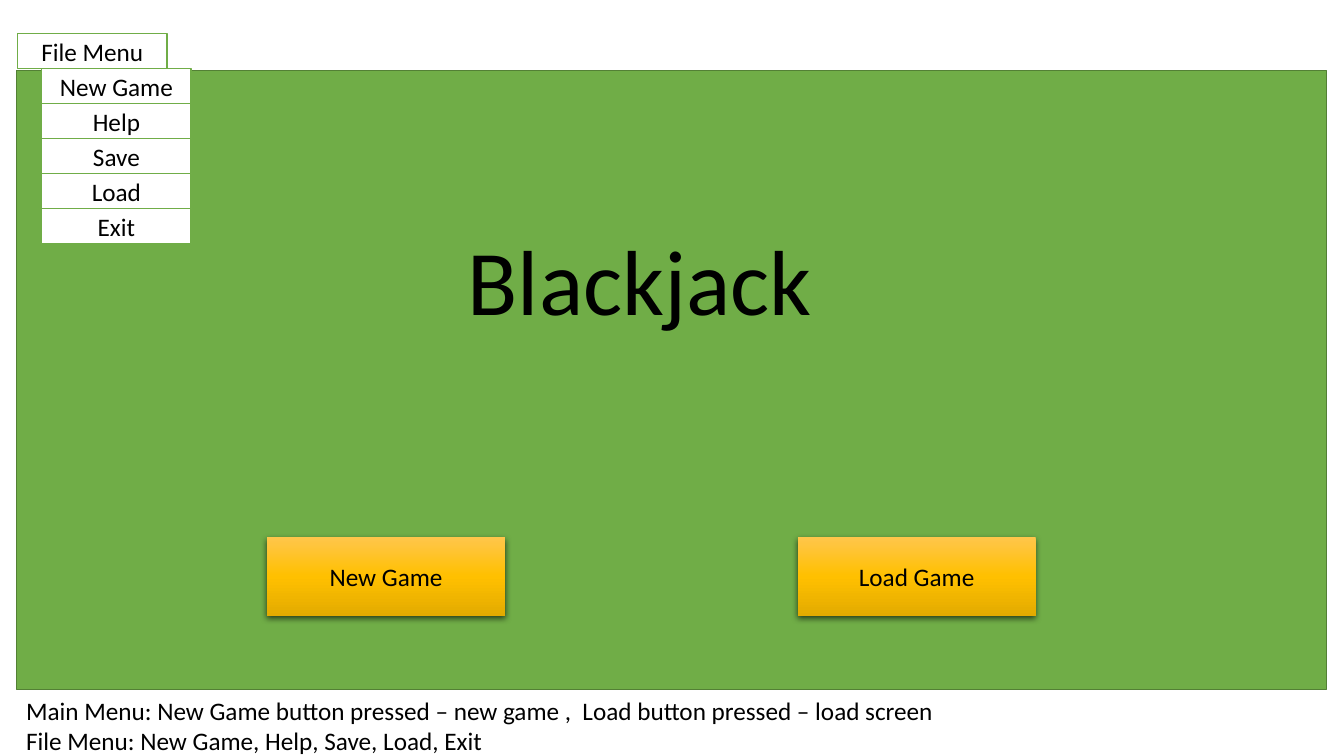
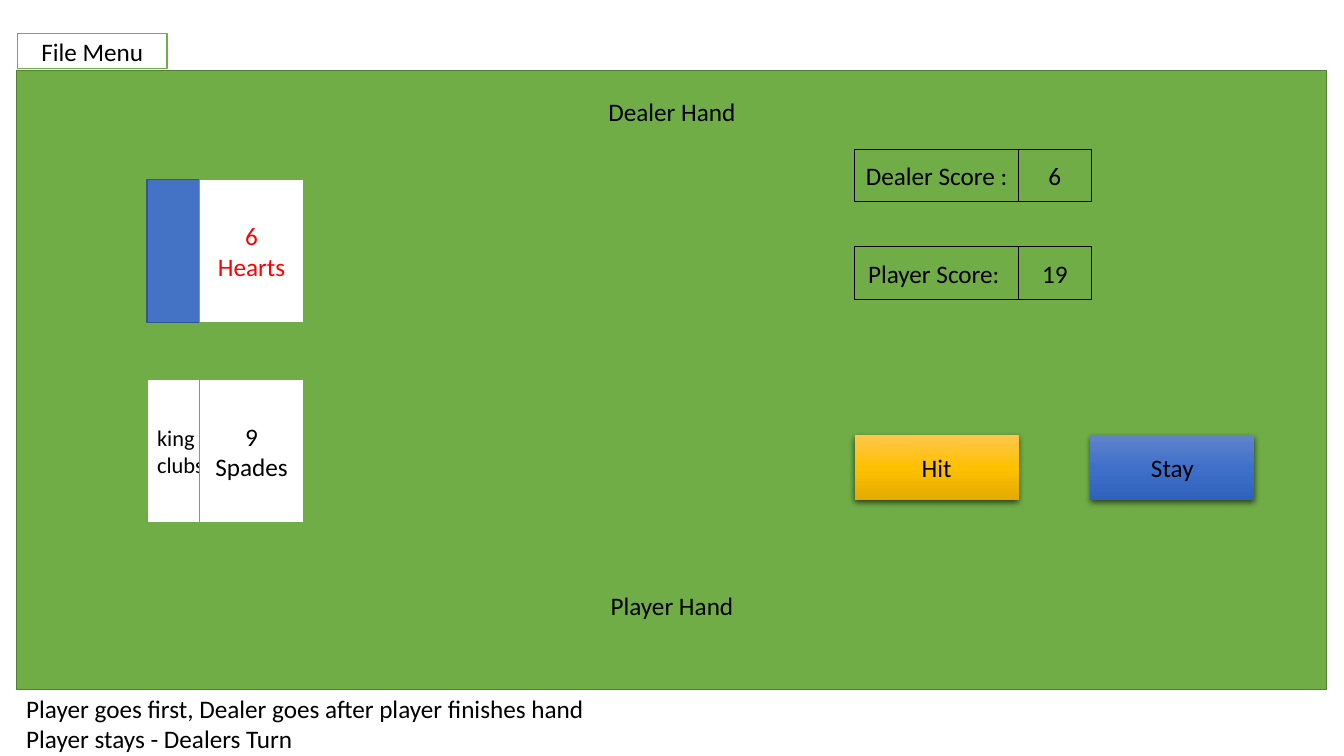
from copy import deepcopy
from pptx import Presentation
from pptx.dml.color import RGBColor
from pptx.enum.shapes import MSO_SHAPE
from pptx.enum.text import MSO_ANCHOR, PP_ALIGN
from pptx.oxml import parse_xml
from pptx.oxml.ns import nsdecls, qn
from pptx.util import Cm, Pt

RECT = MSO_SHAPE.RECTANGLE
LEFT, MID = PP_ALIGN.LEFT, PP_ALIGN.CENTER
TOP, CENTER = MSO_ANCHOR.TOP, MSO_ANCHOR.MIDDLE


class Theme:
    font = "Calibri"
    body, small, title = 18, 16, 66
    black, white, red = "000000", "FFFFFF", "FF0000"
    felt, rim = "70AD47", "538035"
    back, edge = "4472C4", "325491"
    gold = ("FFC64B", "FFC000", "E3AB00")
    blue = ("6183CB", "3E70CA", "3062BB")


SHADE = (f'<a:outerShdw {nsdecls("a")} blurRad="57150" dist="19050" dir="5400000" '
         'algn="ctr" rotWithShape="0"><a:srgbClr val="000000">'
         '<a:alpha val="63000"/></a:srgbClr></a:outerShdw>')


def write(shape, text, size=Theme.body, color=Theme.black, align=MID, anchor=CENTER):
    frame = shape.text_frame
    frame.word_wrap = True
    frame.vertical_anchor = anchor
    frame.text = text
    for par in frame.paragraphs:
        par.alignment = align
        par.font.name = Theme.font
        par.font.size = Pt(size)
        par.font.color.rgb = RGBColor.from_string(color)


def block(slide, place, fill=None, line=None, width=1):
    """Draw a rectangle; a tuple of colours makes a shaded button."""
    shape = slide.shapes.add_shape(RECT, *map(Cm, place))
    shape.shadow.inherit = False
    if isinstance(fill, tuple):
        shape.fill.gradient()
        shape.fill.gradient_angle = 270
        props = shape._element.spPr
        stops = props.find(".//" + qn("a:gsLst"))
        stops.insert(1, deepcopy(stops[0]))
        for i, stop in enumerate(shape.fill.gradient_stops):
            stop.position = i / 2
            stop.color.rgb = RGBColor.from_string(fill[i])
        props.find(qn("a:effectLst")).append(parse_xml(SHADE))
    elif fill:
        shape.fill.solid()
        shape.fill.fore_color.rgb = RGBColor.from_string(fill)
    else:
        shape.fill.background()
    if line:
        shape.line.color.rgb = RGBColor.from_string(line)
        shape.line.width = Pt(width)
    else:
        shape.line.fill.background()
    return shape


deck = Presentation()
deck.slide_width, deck.slide_height = Cm(33.87), Cm(19.05)

# Shared frame: table felt, menu tab and notes
notes = (
    (17.4, "Main Menu: New Game button pressed – new game ,  Load button pressed – load screen\n"
           "File Menu: New Game, Help, Save, Load, Exit"),
    (17.35, "Player goes first, Dealer goes after player finishes hand\n"
            "Player stays - Dealers Turn"),
)
for top, note in notes:
    slide = deck.slides.add_slide(deck.slide_layouts[6])
    block(slide, (0.41, 1.77, 33.02, 15.6), Theme.felt, Theme.rim)
    write(block(slide, (0.44, 0.84, 3.77, 0.89), Theme.white, Theme.felt), "File Menu")
    foot = slide.shapes.add_textbox(Cm(0.41), Cm(top), Cm(33.02), Cm(1.8))
    write(foot, note, align=LEFT, anchor=TOP)
start, game = deck.slides

# Start screen: open menu
for i, item in enumerate(("New Game", "Help", "Save", "Load", "Exit")):
    write(block(start, (1.05, 1.73 + 0.88 * i, 3.77, 0.89), Theme.white, Theme.felt), item)

# Start screen: title
title = start.shapes.add_textbox(Cm(9.19), Cm(5.49), Cm(13.87), Cm(3.07))
write(title, "Blackjack", Theme.title, anchor=TOP)

# Buttons on both screens
for slide, place, fill, label in (
    (start, (6.73, 13.54, 6, 1.98), Theme.gold, "New Game"),
    (start, (20.1, 13.54, 6, 1.98), Theme.gold, "Load Game"),
    (game, (21.54, 10.97, 4.13, 1.63), Theme.gold, "Hit"),
    (game, (27.48, 10.97, 4.13, 1.63), Theme.blue, "Stay"),
):
    write(block(slide, place, fill), label)

# Game screen: cards
card = (2.62, 3.61)
block(game, (3.71, 4.52, *card), Theme.back, Theme.edge)
for left, top, face, size, color, align in (
    (5.03, 4.52, "6\nHearts", Theme.body, Theme.red, MID),
    (3.71, 9.57, "king\nclubs", Theme.small, Theme.black, LEFT),
    (5.03, 9.57, "9\nSpades", Theme.body, Theme.black, MID),
):
    write(block(game, (left, top, *card), Theme.white, Theme.felt), face, size, color, align)

# Game screen: hand labels
for top, label in ((2.16, "Dealer Hand"), (14.6, "Player Hand")):
    write(game.shapes.add_textbox(Cm(14.87), Cm(top), Cm(4.13), Cm(1.32)), label)

# Game screen: scores
for top, label, score in ((3.76, "Dealer Score :", "6"), (6.22, "Player Score: ", "19")):
    for left, width, text in ((21.54, 4.13, label), (25.67, 1.83, score)):
        write(block(game, (left, top, width, 1.32), line=Theme.black, width=0.75), text)

deck.save("out.pptx")
